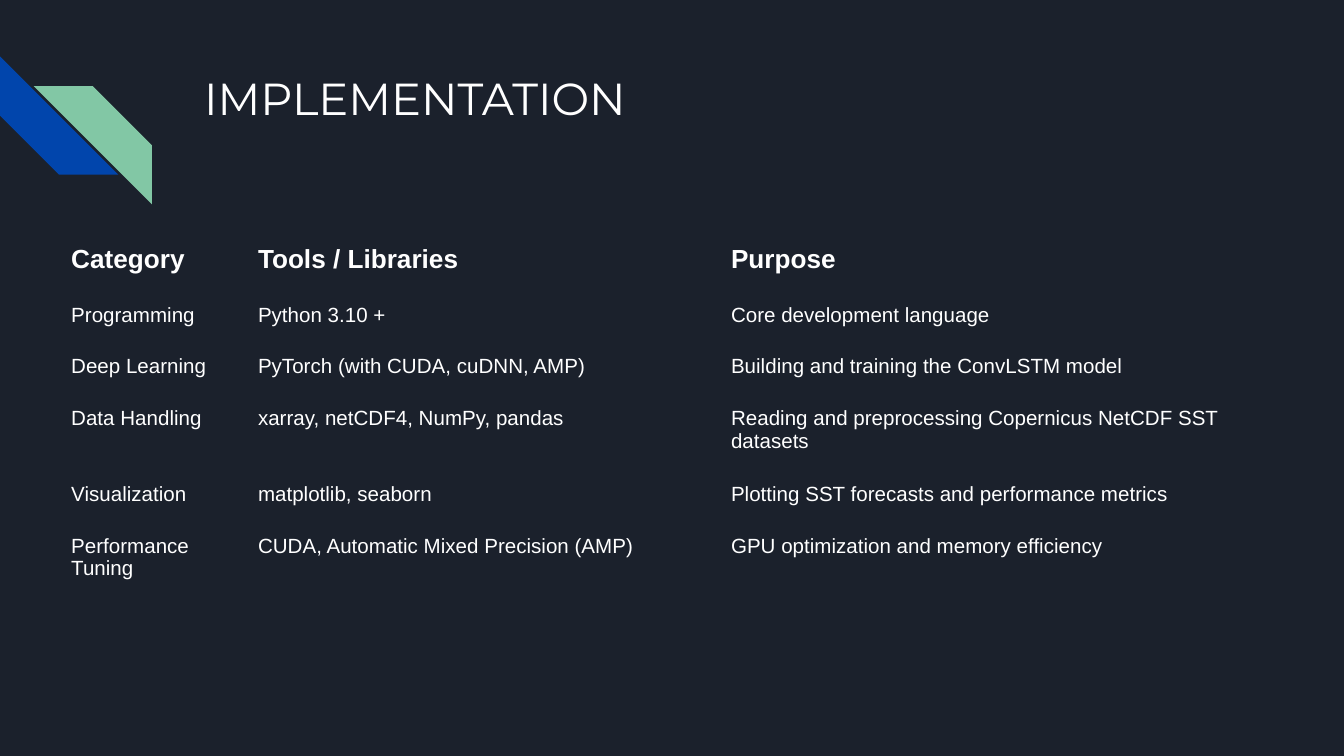
from pptx import Presentation
from pptx.dml.color import RGBColor
from pptx.enum.shapes import MSO_SHAPE as SHAPE
from pptx.enum.text import MSO_ANCHOR as ANCHOR
from pptx.util import Inches, Pt

BACKGROUND, WHITE, BLUE, GREEN = "1B212C", "FFFFFF", "0145AC", "82C7A5"
NO_STYLE_NO_GRID = "{2D5ABB26-0587-4C30-8999-92F81FD0307C}"
INSET = Inches(0.1)

COLUMN_WIDTHS = [1.39, 3.52, 4.12]
ROW_HEIGHT = 0.21  # minimum; rows grow to fit their text
TOOLS = [
    ("Category", "Tools / Libraries", "Purpose"),
    ("Programming", "Python 3.10 +", "Core development language"),
    ("Deep Learning", "PyTorch (with CUDA, cuDNN, AMP)",
     "Building and training the ConvLSTM model"),
    ("Data Handling", "xarray, netCDF4, NumPy, pandas",
     "Reading and preprocessing Copernicus NetCDF SST datasets"),
    ("Visualization", "matplotlib, seaborn",
     "Plotting SST forecasts and performance metrics"),
    ("Performance Tuning", "CUDA, Automatic Mixed Precision (AMP)",
     "GPU optimization and memory efficiency"),
]


def paint(fill, color):
    fill.solid()
    fill.fore_color.rgb = RGBColor.from_string(color)


def set_insets(box):
    box.margin_left = box.margin_right = INSET
    box.margin_top = box.margin_bottom = INSET


def add_run(p, text, size, font, bold=False):
    r = p.add_run()
    r.text = text
    r.font.size = Pt(size)
    r.font.name = font
    r.font.bold = bold
    r.font.color.rgb = RGBColor.from_string(WHITE)


def add_stripes(slide, left, top, size):
    """Two interlocking diagonal stripes in the corner."""
    for dx, dy, angle, color in [(0, 0, 270, BLUE), (0.25, 0.22, 90, GREEN)]:
        sp = slide.shapes.add_shape(
            SHAPE.DIAGONAL_STRIPE, Inches(left + dx), Inches(top + dy),
            Inches(size), Inches(size))
        sp.adjustments[0] = 0.5
        sp.rotation = angle
        sp.shadow.inherit = False
        sp.line.fill.background()
        paint(sp.fill, color)


def add_title(slide, left, top, width, height, text):
    sp = slide.shapes.add_textbox(
        Inches(left), Inches(top), Inches(width), Inches(height))
    tf = sp.text_frame
    tf.word_wrap = True
    tf.vertical_anchor = ANCHOR.TOP
    set_insets(tf)
    add_run(tf.paragraphs[0], text, 24, "Montserrat")


def add_tools_table(slide, left, top, size):
    frame = slide.shapes.add_table(
        len(TOOLS), len(COLUMN_WIDTHS), Inches(left), Inches(top),
        Inches(size), Inches(size))
    table = frame.table
    table.first_row = table.horz_banding = False
    style_id = table._tbl.tblPr[0]
    style_id.text = NO_STYLE_NO_GRID

    for column, width in zip(table.columns, COLUMN_WIDTHS):
        column.width = Inches(width)
    for i, texts in enumerate(TOOLS):
        header = i == 0
        table.rows[i].height = Inches(ROW_HEIGHT)
        for j, text in enumerate(texts):
            cell = table.cell(i, j)
            cell.fill.background()
            set_insets(cell)
            p = cell.text_frame.paragraphs[0]
            if header:
                p.line_spacing = 1.15
            add_run(p, text, 14 if header else 11, "Arial", header)

    # Column and row changes resize the frame, so its size is set last
    frame.width = frame.height = Inches(size)


def main():
    prs = Presentation()
    prs.slide_width = Inches(10)
    prs.slide_height = prs.slide_width * 9 // 16
    slide = prs.slides.add_slide(prs.slide_layouts[6])
    paint(slide.background.fill, BACKGROUND)

    add_stripes(slide, 0, 0.42, 0.88)
    add_title(slide, 1.42, 0.43, 7.7, 1, "IMPLEMENTATION")
    add_tools_table(slide, 0.43, 1.69, 3.28)

    prs.save("out.pptx")


if __name__ == "__main__":
    main()
